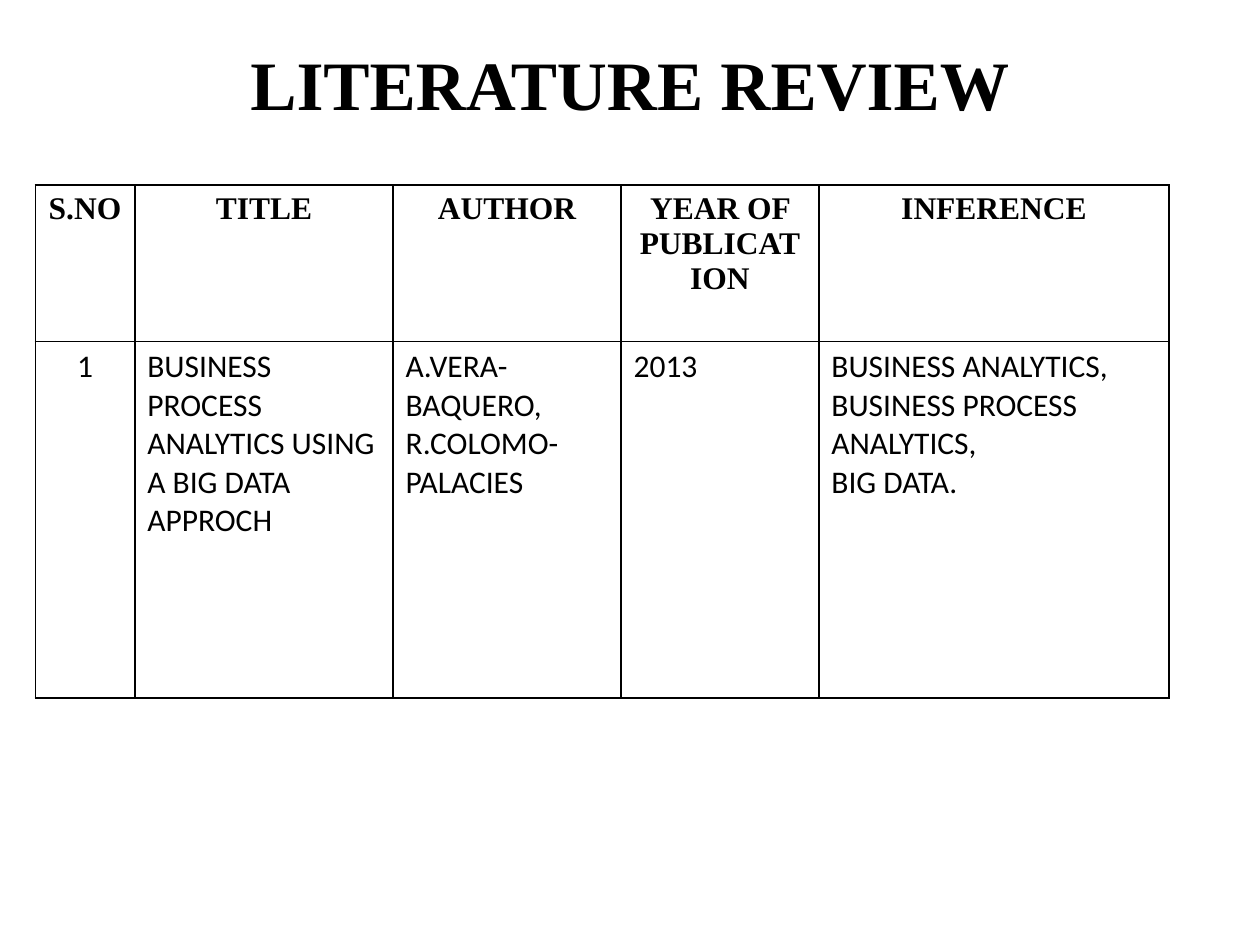
from dataclasses import dataclass

from pptx import Presentation
from pptx.dml.color import RGBColor as Rgb
from pptx.enum.text import MSO_ANCHOR as Anchor, PP_ALIGN as Align
from pptx.oxml import parse_xml
from pptx.oxml.ns import nsdecls
from pptx.util import Inches, Pt

INK = "000000"
SERIF = "Times New Roman"
HEAD = {"name": SERIF, "size": Pt(18), "bold": True}
BODY = {"name": "Calibri", "size": Pt(18), "bold": False}
TITLE = {"name": SERIF, "size": Pt(39.6), "bold": True}


@dataclass
class Column:
    """One table column: its width, heading and entry."""
    width: float
    head: str
    entry: str
    align: Align = Align.LEFT


COLUMNS = [
    Column(0.79, "S.NO", "1", Align.CENTER),
    Column(2.05, "TITLE", "BUSINESS PROCESS ANALYTICS USING \nA BIG DATA APPROCH"),
    Column(1.81, "AUTHOR", "A.VERA-BAQUERO,\nR.COLOMO-PALACIES"),
    Column(1.57, "YEAR OF PUBLICATION", "2013"),
    Column(2.78, "INFERENCE",
           "BUSINESS ANALYTICS,\nBUSINESS PROCESS\nANALYTICS,\nBIG DATA."),
]
ROWS = [1.24, 2.83]


def color(value: str) -> Rgb:
    """Turn a hex string into a colour."""
    return Rgb.from_string(value)


def write(frame, text: str, style: dict, align: Align) -> None:
    """Fill a text frame with styled paragraphs."""
    frame.text = text
    for para in frame.paragraphs:
        para.alignment = align
        for run in para.runs:
            run.font.color.rgb = color(INK)
            for key, value in style.items():
                setattr(run.font, key, value)


def frame_cell(cell) -> None:
    """Clear the cell fill and draw its four borders."""
    props = cell._tc.get_or_add_tcPr()
    for side in ("lnL", "lnR", "lnT", "lnB"):
        props.append(parse_xml(
            f'<a:{side} {nsdecls("a")} w="12700"><a:solidFill>'
            f'<a:srgbClr val="{INK}"/></a:solidFill></a:{side}>'))
    cell.fill.background()


def add_title(slide, text: str) -> None:
    """Place and format the slide title."""
    title = slide.shapes.title
    place = {"left": 0.5, "top": 0.3, "width": 9, "height": 1.25}
    for key, value in place.items():
        setattr(title, key, Inches(value))
    frame = title.text_frame
    frame.vertical_anchor = Anchor.TOP
    frame.margin_top = Inches(0.03)
    write(frame, text, TITLE, Align.CENTER)


def add_grid(slide) -> None:
    """Draw the review table from the columns."""
    width = sum(col.width for col in COLUMNS)
    table = slide.shapes.add_table(
        len(ROWS), len(COLUMNS), Inches(0.28), Inches(1.47),
        Inches(width), Inches(sum(ROWS))).table
    table.horz_banding = False
    for row, height in zip(table.rows, ROWS):
        row.height = Inches(height)
    for idx, col in enumerate(COLUMNS):
        table.columns[idx].width = Inches(col.width)
        parts = [(col.head, HEAD, Align.CENTER), (col.entry, BODY, col.align)]
        for row, part in enumerate(parts):
            cell = table.cell(row, idx)
            write(cell.text_frame, *part)
            frame_cell(cell)


def main() -> None:
    """Build and save the slide."""
    deck = Presentation()
    deck.slide_width, deck.slide_height = Inches(10), Inches(7.5)
    slide = deck.slides.add_slide(deck.slide_layouts[5])
    add_title(slide, "LITERATURE REVIEW")
    add_grid(slide)
    deck.save("out.pptx")


main()
